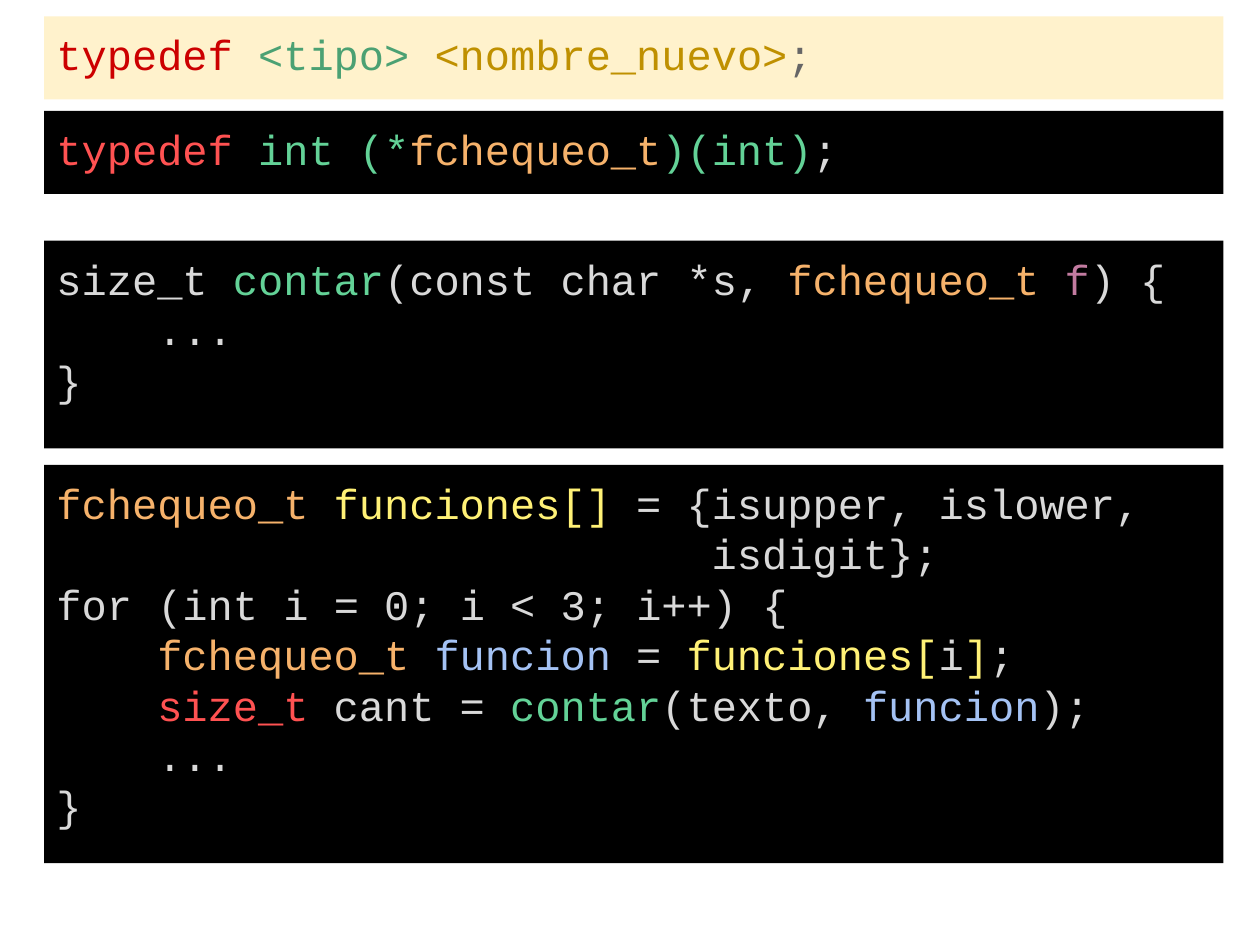
from pptx import Presentation
from pptx.dml.color import RGBColor
from pptx.enum.shapes import MSO_SHAPE as Shape
from pptx.enum.text import MSO_ANCHOR as Anchor, PP_ALIGN as Align
from pptx.util import Inches, Pt

LIGHT, GREEN, ORANGE, RED = "D9D9D9", "63D297", "F6B26B", "FF5252"
YELLOW, BLUE, PINK = "FFF176", "A4C2F4", "C27BA0"
BLACK, CREAM = "000000", "FFF2CC"


def color(value):
    return RGBColor.from_string(value)


def apply(target, formats):
    for name, value in formats.items():
        setattr(target, name, value)


class CodeSlide:
    left, width = Inches(0.35), Inches(9.36)
    character_width = Inches(0.2)
    font = {"name": "Courier New", "size": Pt(24)}
    paragraph_format = {"alignment": Align.LEFT, "line_spacing": Pt(28.8)}
    frame_format = {
        "word_wrap": True,
        "vertical_anchor": Anchor.TOP,
        **{f"margin_{side}": Inches(0.1)
           for side in ("left", "top", "right", "bottom")},
    }

    def __init__(self, presentation):
        self.slide = presentation.slides.add_slide(presentation.slide_layouts[6])

    def code_box(self, top, height, fill, lines):
        shape = self.slide.shapes.add_shape(
            Shape.RECTANGLE, self.left, Inches(top), self.width, Inches(height))
        shape.shadow.inherit = False
        shape.fill.solid()
        shape.fill.fore_color.rgb = color(fill)
        shape.line.fill.background()
        frame = shape.text_frame
        apply(frame, self.frame_format)
        for index, (indent, runs) in enumerate(lines):
            paragraph = frame.add_paragraph() if index else frame.paragraphs[0]
            self.code_line(paragraph, indent, runs)

    def code_line(self, paragraph, indent, runs):
        apply(paragraph, self.paragraph_format)
        properties = paragraph._p.get_or_add_pPr()
        properties.set("marL", str(indent * self.character_width))
        properties.set("indent", "0")
        for text, run_color in runs:
            run = paragraph.add_run()
            run.text = text
            apply(run.font, self.font)
            run.font.color.rgb = color(run_color)


def main():
    presentation = Presentation()
    apply(presentation, {"slide_width": Inches(10), "slide_height": Inches(7.5)})
    code = CodeSlide(presentation)

    code.code_box(1.91, 1.65, BLACK, [
        (0, [("size_t ", LIGHT), ("contar", GREEN), ("(const char *s, ", LIGHT),
             ("fchequeo_t ", ORANGE), ("f", PINK), (") {", LIGHT)]),
        (4, [("...", LIGHT)]),
        (0, [("}", LIGHT)]),
    ])
    code.code_box(3.69, 3.16, BLACK, [
        (0, [("fchequeo_t ", ORANGE), ("funciones[]", YELLOW),
             (" = {isupper, islower,", LIGHT)]),
        (26, [("isdigit};", LIGHT)]),
        (0, [("for (int i = 0; i < 3; i++) {", LIGHT)]),
        (4, [("fchequeo_t ", ORANGE), ("funcion", BLUE), (" = ", LIGHT),
             ("funciones[", YELLOW), ("i", LIGHT), ("]", YELLOW), (";", LIGHT)]),
        (4, [("size_t ", RED), ("cant = ", LIGHT), ("contar", GREEN),
             ("(texto, ", LIGHT), ("funcion", BLUE), (");", LIGHT)]),
        (4, [("...", LIGHT)]),
        (0, [("}", LIGHT)]),
    ])
    code.code_box(0.88, 0.66, BLACK, [
        (0, [("typedef ", RED), ("int (*", GREEN), ("fchequeo_t", ORANGE),
             (")(int)", GREEN), (";", LIGHT)]),
    ])
    code.code_box(0.13, 0.66, CREAM, [
        (0, [("typedef ", "CC0000"), ("<tipo>", "4BA173"),
             (" <nombre_nuevo>", "BF9000"), (";", "666666")]),
    ])
    presentation.save("out.pptx")


if __name__ == "__main__":
    main()
